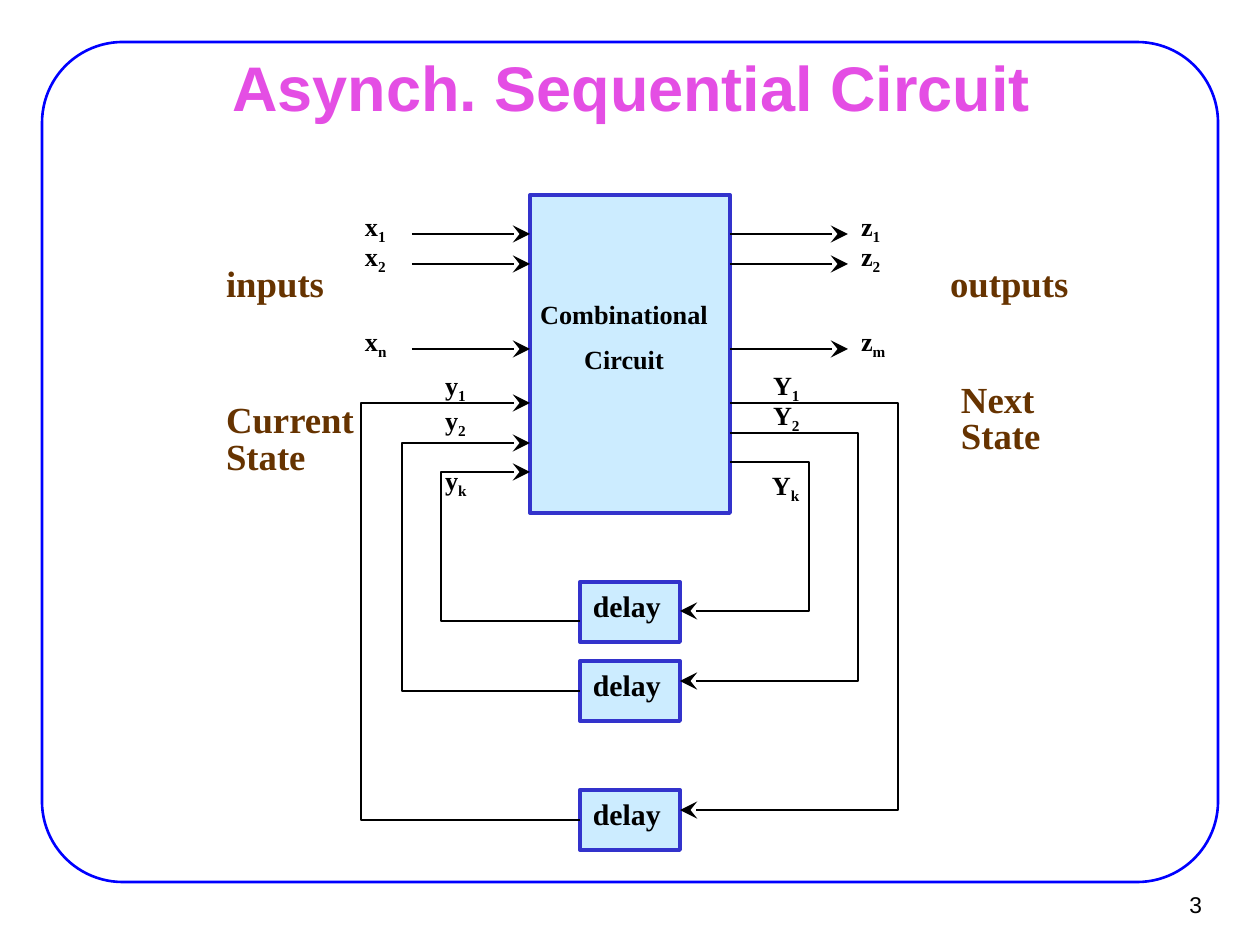
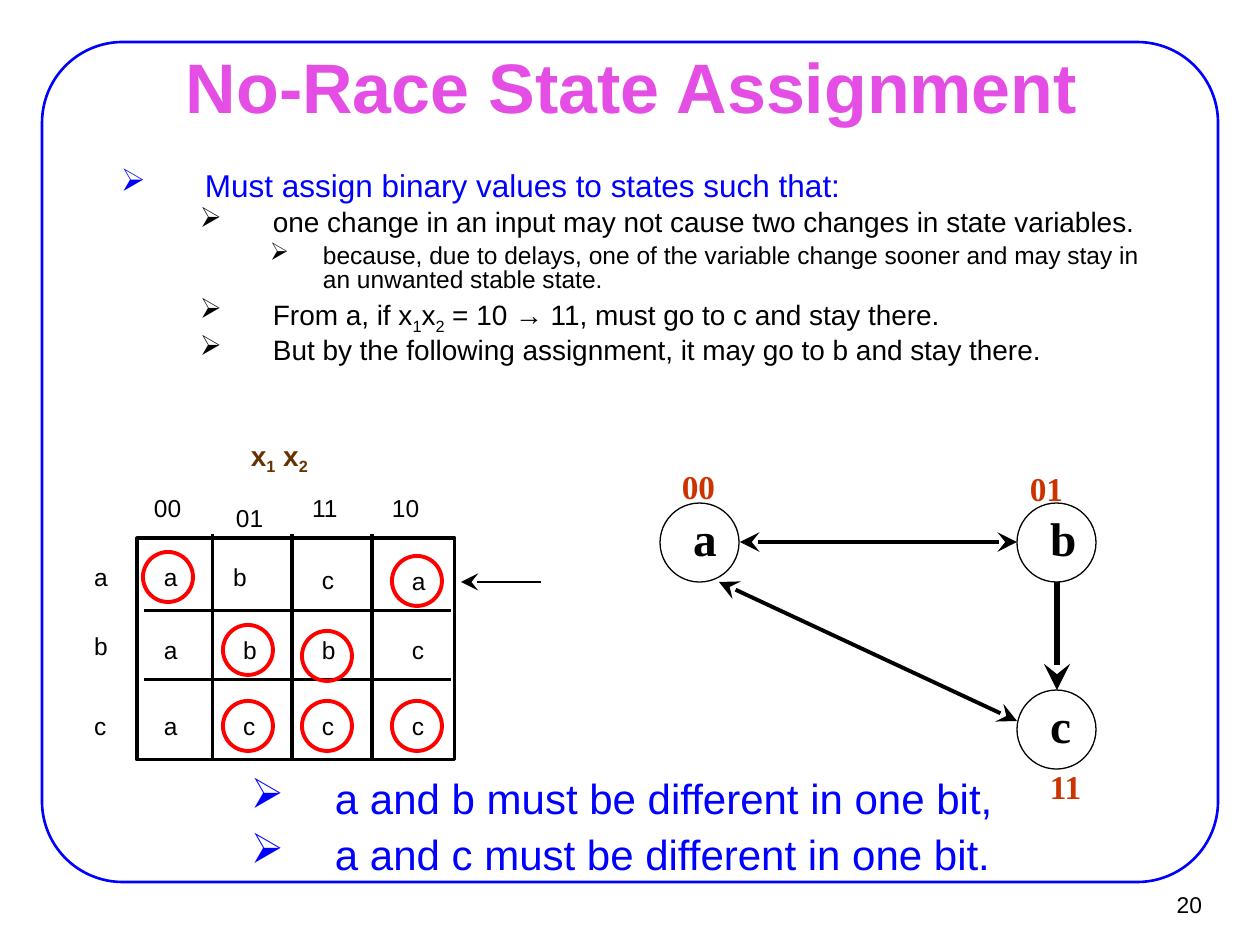
from pptx import Presentation
from pptx.util import Emu, Pt
from pptx.dml.color import RGBColor
from pptx.enum.shapes import MSO_SHAPE, MSO_CONNECTOR
from pptx.enum.text import PP_ALIGN, MSO_ANCHOR
from pptx.oxml.ns import qn
from lxml import etree

PX = 914400 / 126
SANS, SERIF = "Arial", "Times New Roman"
BLACK, WHITE, BLUE, PINK = "000000", "FFFFFF", "0000FF", "E44EE4"
BROWN, RUST, RED, PALE, EDGE = "663300", "CC3300", "FF0000", "CCECFF", "3333CC"
LABEL, WIDE = (13, 6), (14, 8)  # text insets: horizontal, vertical

# ---- Content: circuit slide (an underscore makes the next character a subscript)
BLOCK = (530, 195, 200, 318)
DELAY_TOPS = [582, 661, 790]
SIGNALS = [(234, "x_1", "z_1"), (264, "x_2", "z_2"), (349, "x_n", "z_m")]
NEXT_LOOPS = [(403, 898, 810), (433, 858, 681), (462, 809, 611)]     # leave, turn, arrive
CURRENT_LOOPS = [(621, 441, 472), (691, 402, 443), (820, 361, 403)]
STATE_LABELS = [("y_1", 432, 363), ("y_2", 432, 398), ("y_k", 432, 458),
                ("Y_1", 760, 363), ("Y_2", 760, 393), ("Y_k", 759, 463)]
SIDE_LABELS = [(["inputs"], 213, 255), (["outputs"], 937, 255),
               (["Current", "State"], 213, 413), (["Next", "State"], 948, 393)]

# ---- Content: state assignment slide
RULES = [  # level, text
    (0, "Must assign binary values to states such that:"),
    (1, "one change in an input may not cause two changes in state variables."),
    (2, "because, due to delays, one of the variable change sooner and may stay in "
        "an unwanted stable state."),
    (1, "From a, if x_1x_2 = 10 → 11, must go to c and stay there."),
    (1, "But by the following assignment, it may go to b and stay there."),
]
RULE_LEVELS = [(18, BLUE, 147, 84), (16, BLACK, 215, 73), (14, BLACK, 265, 53)]
CONCLUSIONS = ["a and b must be different in one bit,",
               "a and c must be different in one bit."]
COLUMNS = [("00", 154, 493), ("01", 236, 503), ("11", 312, 493), ("10", 392, 493)]
ROWS = [("a", 562, "abca"), ("b", 631, "abbc"), ("c", 711, "accc")]
CELL_LEFTS, CELL_TOPS = [164, 243, 322, 412], [562, 635, 711]
NUDGES = {(0, 1): (-10, 0), (0, 2): (0, 3), (0, 3): (0, 4)}
RING_LEFTS = [143, 223, 302, 392]
RING_TOPS = {(0, 0): 552, (0, 3): 556, (1, 1): 625, (1, 2): 631,
             (2, 1): 701, (2, 2): 701, (2, 3): 701}
NODES = [("a", 660, 503), ("b", 1017, 503), ("c", 1017, 690)]
CODES = [("00", 669, 460), ("01", 1017, 462), ("11", 1037, 760)]
EDGES = [((740, 542), (1017, 542), 2.25, True), ((1057, 582), (1057, 690), 3, False),
         ((719, 582), (1017, 721), 2.25, True), ((541, 582), (461, 582), 0.75, False)]


def px(*values):
    return [Emu(round(v * PX)) for v in values]


def rgb(value):
    return RGBColor.from_string(value)


def write(shape, lines, size, color=BLACK, font=SANS, bold=False, align=PP_ALIGN.LEFT,
          anchor=MSO_ANCHOR.TOP, inset=LABEL, spacing=None, before=0):
    """Fill a shape with paragraphs."""
    tf = shape.text_frame
    tf.word_wrap = True
    tf.vertical_anchor = anchor
    tf.margin_left, tf.margin_top, tf.margin_right, tf.margin_bottom = px(*inset, *inset)
    for i, line in enumerate(lines):
        p = tf.paragraphs[0] if i == 0 else tf.add_paragraph()
        p.alignment = align
        if spacing:
            p.line_spacing = spacing
        if i:
            p.space_before = Pt(before)
        head, *tails = line.split("_")
        pieces = [(head, False)]
        for tail in tails:
            pieces += [(tail[0], True), (tail[1:], False)]
        for text, is_sub in pieces:
            if text:
                r = p.add_run()
                r.text = text
                if is_sub:
                    r._r.get_or_add_rPr().set("baseline", "-25000")
        for r in p.runs:
            style_run(r, size, color, font, bold)
    return tf


def style_run(r, size, color, font=SANS, bold=False):
    r.font.size, r.font.name, r.font.bold = Pt(size), font, bold
    r.font.color.rgb = rgb(color)


def add_text(s, box, lines, size, **style):
    return write(s.shapes.add_textbox(*px(*box)), lines, size, **style)


def outline(shape, color, width):
    shape.line.color.rgb = rgb(color)
    shape.line.width = Pt(width)


def add_box(s, kind, box, line, width, fill=None):
    sp = s.shapes.add_shape(kind, *px(*box))
    sp.shadow.inherit = False
    outline(sp, line, width)
    if fill:
        sp.fill.solid()
        sp.fill.fore_color.rgb = rgb(fill)
    else:
        sp.fill.background()
    return sp


def add_arrowheads(shape, *ends):
    ln = shape.line._get_or_add_ln()
    for end in ends:
        etree.SubElement(ln, qn("a:" + end), type="stealth", w="lg", len="lg")


def add_line(s, start, end, width, *ends):
    c = s.shapes.add_connector(MSO_CONNECTOR.STRAIGHT, *px(*start, *end))
    outline(c, BLACK, width)
    add_arrowheads(c, *ends)
    etree.SubElement(c._element.spPr, qn("a:effectLst"))


def add_wire(s, start_x, leave, turn, arrive, end_x):
    path = s.shapes.build_freeform(start_x, leave, scale=PX)
    path.add_line_segments([(turn, leave), (turn, arrive), (end_x, arrive)], close=False)
    sp = path.convert_to_shape()
    sp.shadow.inherit = False
    sp.fill.background()
    outline(sp, BLACK, 0.75)
    add_arrowheads(sp, "tailEnd")


def add_bullet(p, left, hang):
    pPr = p._p.get_or_add_pPr()
    pPr.set("marL", str(round(left * PX)))
    pPr.set("indent", str(round(-hang * PX)))
    etree.SubElement(pPr, qn("a:buChar"), char="➢")


def new_slide(title, size, number):
    """Blank slide with the rounded frame, page number and title."""
    s = prs.slides.add_slide(prs.slide_layouts[6])
    frame = add_box(s, MSO_SHAPE.ROUNDED_RECTANGLE, (42, 42, 1176, 840), BLUE, 1.5)
    frame.adjustments[0] = 0.096
    add_text(s, (1136, 881, 77, 47), [number], 13, align=PP_ALIGN.RIGHT,
             anchor=MSO_ANCHOR.MIDDLE, inset=(11, 5))
    add_text(s, (96, 55, 1071, 62), [title], size, color=PINK, bold=True,
             align=PP_ALIGN.CENTER, anchor=MSO_ANCHOR.MIDDLE, inset=WIDE)
    return s


prs = Presentation()
prs.slide_width, prs.slide_height = px(1260, 945)
serif = dict(font=SERIF, bold=True)

# ---- Slide: asynchronous circuit
s = new_slide("Asynch. Sequential Circuit", 36, "3")
add_box(s, MSO_SHAPE.RECTANGLE, BLOCK, EDGE, 2.25, PALE)
block_left, block_right = BLOCK[0], BLOCK[0] + BLOCK[2]
for top in DELAY_TOPS:
    sp = add_box(s, MSO_SHAPE.RECTANGLE, (580, top, 100, 60), EDGE, 2.25, PALE)
    write(sp, ["delay"], 17, **serif)

# Feedback wires through the delays
for loop in NEXT_LOOPS:
    add_wire(s, block_right, *loop, 680)
for loop in CURRENT_LOOPS:
    add_wire(s, 580, *loop, block_left)
add_text(s, (520, 292, 208, 92), ["Combinational", "Circuit"], 15,
         align=PP_ALIGN.CENTER, before=8, **serif)

# Input and output arrows with their names
for y, source, result in SIGNALS:
    add_line(s, (412, y), (block_left, y), 0.75, "tailEnd")
    add_line(s, (block_right, y), (848, y), 0.75, "tailEnd")
    add_text(s, (352, y - 30, 50, 44), [source], 15, **serif)
    add_text(s, (848, y - 30, 69, 44), [result], 15, **serif)
for name, x, y in STATE_LABELS:
    add_text(s, (x, y, 69, 44), [name], 15, **serif)
for lines, x, y in SIDE_LABELS:
    add_text(s, (x, y, 160, 57), lines, 21, color=BROWN, before=11,
             spacing=0.4 if len(lines) > 1 else None, **serif)

# ---- Slide: state assignment
s = new_slide("No-Race State Assignment", 40, "20")
tf = add_text(s, (44, 165, 1121, 278), [text for _, text in RULES], 18,
              inset=WIDE, spacing=0.8, before=4.5)
for p, (level, _) in zip(tf.paragraphs, RULES):
    size, color, left, hang = RULE_LEVELS[level]
    p.level = level
    add_bullet(p, left, hang)
    for r in p.runs:
        style_run(r, size, color)

# Flow table: frame, rules, headings, cells and stable-state rings
add_box(s, MSO_SHAPE.RECTANGLE, (137, 538, 318, 222), BLACK, 1.75)
for y in (611, 680):
    add_line(s, (451, y), (144, y), 1.75)
for x in (213, 292, 372):
    add_line(s, (x, 760), (x, 534), 1.75)
add_text(s, (238, 432, 102, 47), ["x_1 x_2"], 16, color=BROWN, bold=True)
for text, x, y in COLUMNS:
    add_text(s, (x, y, 34, 29), [text], 14, inset=(0, 0))
for i, (state, y, cells) in enumerate(ROWS):
    add_text(s, (94, y, 20, 29), [state], 14, inset=(0, 0))
    for j, cell in enumerate(cells):
        dx, dy = NUDGES.get((i, j), (0, 0))
        add_text(s, (CELL_LEFTS[j] + dx, CELL_TOPS[i] + dy, 20, 29), [cell], 14, inset=(0, 0))
for (i, j), top in RING_TOPS.items():
    add_box(s, MSO_SHAPE.OVAL, (RING_LEFTS[j], top, 50, 50), RED, 2.25)

# State graph
for name, x, y in NODES:
    add_box(s, MSO_SHAPE.OVAL, (x, y, 79, 79), BLACK, 0.75, WHITE)
    add_text(s, (x + 20, y, 69, 69), [name], 27, **serif)
for start, end, width, both in EDGES:
    add_line(s, start, end, width, *(["headEnd"] if both else []), "tailEnd")

# Conclusions and state codes
tf = add_text(s, (174, 770, 858, 129), CONCLUSIONS, 24, color=BLUE,
              inset=WIDE, spacing=0.9, before=6)
for p in tf.paragraphs:
    add_bullet(p, 147, 84)
for code, x, y in CODES:
    add_text(s, (x, y, 100, 53), [code], 19, color=RUST, **serif)

prs.save("out.pptx")
